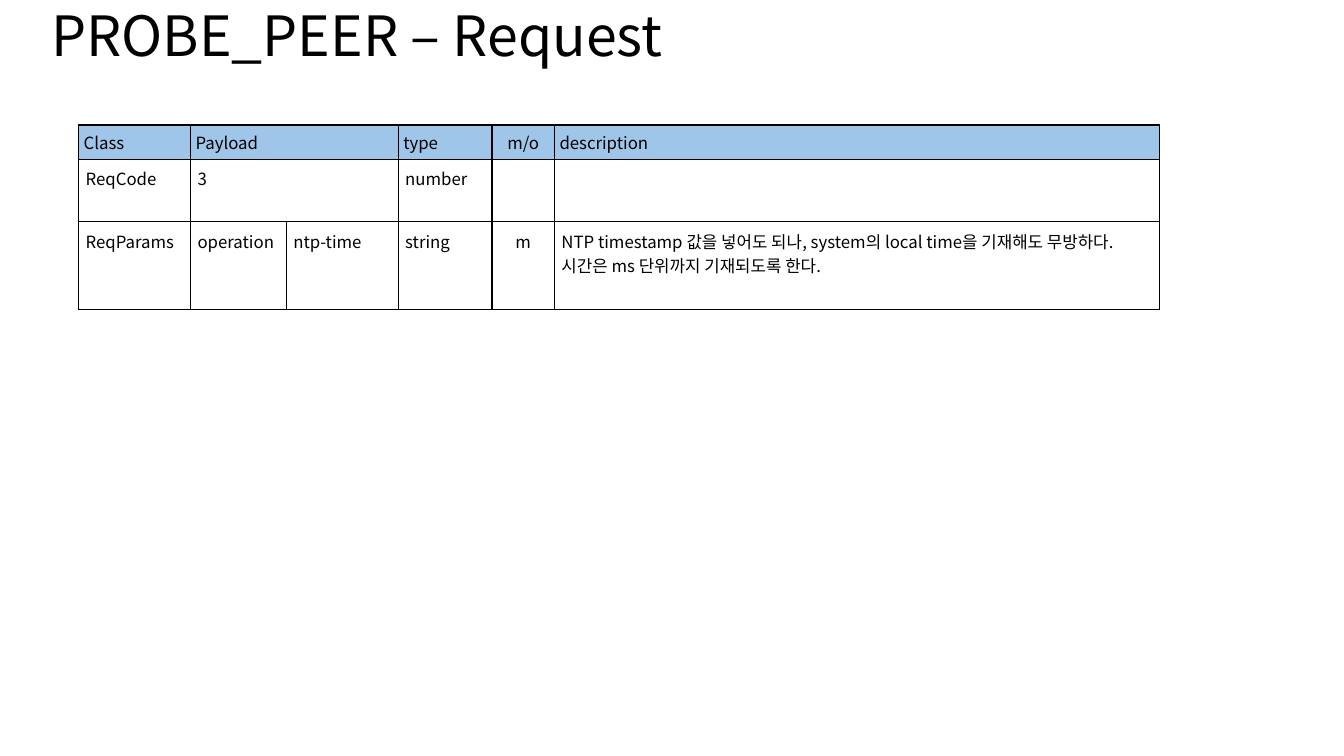
from lxml.etree import SubElement
from pptx import Presentation
from pptx.dml.color import RGBColor
from pptx.enum.text import MSO_ANCHOR, PP_ALIGN
from pptx.oxml import parse_xml
from pptx.oxml.ns import nsdecls, qn
from pptx.util import Inches, Pt

FONT = "Noto Sans CJK KR"
BLACK = "000000"
HEADER_FILL = "9FC5E8"
TITLE = "PROBE_PEER – Request"
COLUMN_WIDTHS = [1.11, 0.95, 1.11, 0.93, 0.62, 6]
ROW_HEIGHTS = [0.34, 0.62, 0.87]
CENTERED_COLUMN = 4
ROWS = [
    ["Class", "Payload", "", "type", "m/o", "description"],
    ["ReqCode", "3", "", "number", "", ""],
    ["ReqParams", "operation", "ntp-time", "string", "m",
     "NTP timestamp 값을 넣어도 되나, system의 local time을 기재해도 무방하다. "
     "시간은 ms 단위까지 기재되도록 한다."],
]
MERGED_ROWS = [0, 1]


def color(value):
    return RGBColor.from_string(value)


def add_run(paragraph, text, size):
    run = paragraph.add_run()
    run.text = text
    run.font.size = Pt(size)
    run.font.name = FONT
    run.font.bold = False
    run.font.color.rgb = color(BLACK)
    SubElement(run.font._element, qn("a:ea"), typeface=FONT)


def add_borders(cell):
    properties = cell._tc.get_or_add_tcPr()
    for index, side in enumerate(["lnL", "lnR", "lnT", "lnB"]):
        properties.insert(index, parse_xml(
            f'<a:{side} {nsdecls("a")} w="{Pt(1)}"><a:solidFill>'
            f'<a:srgbClr val="{BLACK}"/></a:solidFill></a:{side}>'))


def add_title(slide):
    box = slide.shapes.add_textbox(Inches(0.41), Inches(0.02), Inches(12.47), Inches(0.72))
    frame = box.text_frame
    frame.word_wrap = True
    frame.vertical_anchor = MSO_ANCHOR.MIDDLE
    paragraph = frame.paragraphs[0]
    paragraph.line_spacing = 0.9
    add_run(paragraph, TITLE, 39.6)


def fill_cell(cell, text, is_header, is_centered):
    inset = Inches(0.05 if is_header else 0.07)
    cell.margin_left = cell.margin_right = inset
    cell.margin_top = cell.margin_bottom = inset
    if is_header:
        cell.fill.solid()
        cell.fill.fore_color.rgb = color(HEADER_FILL)
    else:
        cell.fill.background()
    add_borders(cell)
    paragraph = cell.text_frame.paragraphs[0]
    if is_centered:
        paragraph.alignment = PP_ALIGN.CENTER
    if text:
        add_run(paragraph, text, 12)


def add_request_table(slide):
    table = slide.shapes.add_table(
        len(ROWS), len(COLUMN_WIDTHS), Inches(0.78), Inches(1.24),
        Inches(sum(COLUMN_WIDTHS)), Inches(sum(ROW_HEIGHTS))).table
    table.first_row = False
    table.horz_banding = False
    for column, width in zip(table.columns, COLUMN_WIDTHS):
        column.width = Inches(width)
    for row, height in zip(table.rows, ROW_HEIGHTS):
        row.height = Inches(height)
    for row_index in MERGED_ROWS:
        table.cell(row_index, 1).merge(table.cell(row_index, 2))
    for row_index, texts in enumerate(ROWS):
        for column_index, text in enumerate(texts):
            fill_cell(table.cell(row_index, column_index), text,
                      row_index == 0, column_index == CENTERED_COLUMN)


def main():
    presentation = Presentation()
    presentation.slide_width = Inches(13.33)
    presentation.slide_height = Inches(7.5)
    slide = presentation.slides.add_slide(presentation.slide_layouts[6])
    add_title(slide)
    add_request_table(slide)
    presentation.save("out.pptx")


if __name__ == "__main__":
    main()
